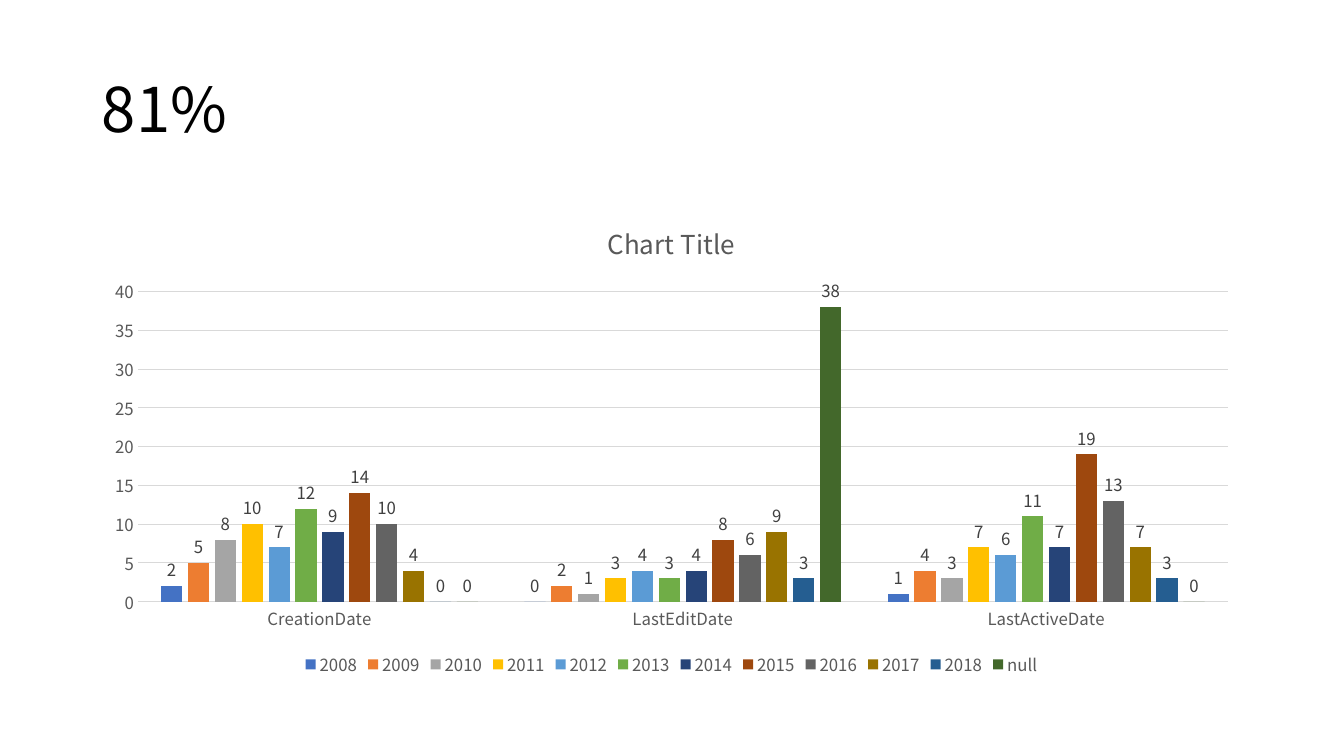
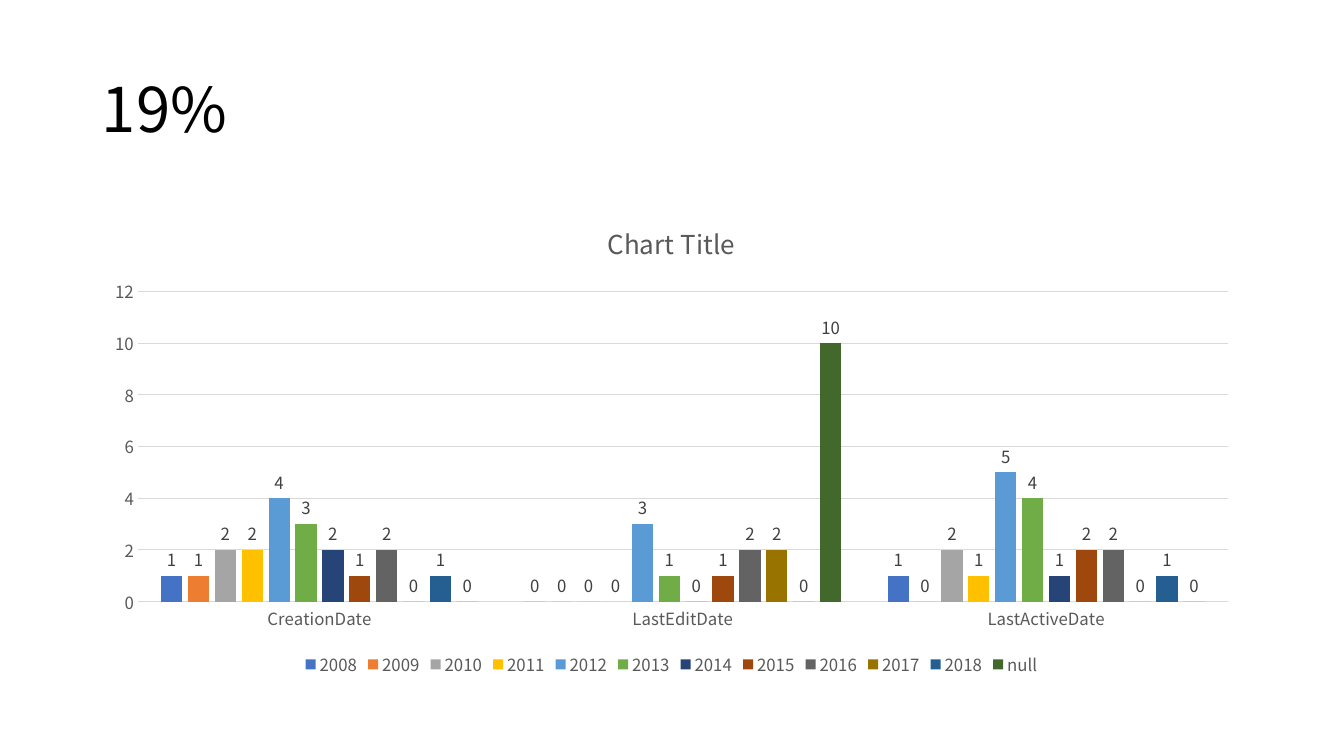
import dataclasses

import pptx
import pptx.chart.data
import pptx.dml.color
import pptx.enum.chart
import pptx.enum.text
import pptx.util


@dataclasses.dataclass(frozen=True)
class Theme:
    font: str = "Noto Sans CJK SC"
    ink: str = "000000"
    muted: str = "595959"
    label: str = "404040"
    rule: str = "D9D9D9"
    title_pt: float = 44
    chart_title_pt: float = 18.6
    chart_pt: float = 12
    rule_pt: float = 0.75
    series: tuple = ("4472C4", "ED7D31", "A5A5A5", "FFC000", "5B9BD5", "70AD47",
                     "264478", "9E480E", "636363", "997300", "255E91", "43682B")


class Deck:
    """Holds the theme and the current slide, and draws each kind of element."""

    SCALE = 914400 / 100.8

    def __init__(self, theme, width, height):
        self.theme = theme
        self.prs = pptx.Presentation()
        self.prs.slide_width, self.prs.slide_height = self.box(width, height)
        self.s = None

    def box(self, *pixels):
        return [pptx.util.Emu(round(n * self.SCALE)) for n in pixels]

    def color(self, value):
        return pptx.dml.color.RGBColor.from_string(value)

    def style(self, font, size, color):
        font.name = self.theme.font
        font.size = pptx.util.Pt(size)
        font.bold = False
        font.color.rgb = self.color(color)

    def rule(self, line):
        line.color.rgb = self.color(self.theme.rule)
        line.width = pptx.util.Pt(self.theme.rule_pt)

    def slide(self):
        self.s = self.prs.slides.add_slide(self.prs.slide_layouts[6])

    def title(self, text, at):
        tf = self.s.shapes.add_textbox(*self.box(*at)).text_frame
        tf.word_wrap = True
        tf.vertical_anchor = pptx.enum.text.MSO_ANCHOR.MIDDLE
        p = tf.paragraphs[0]
        p.line_spacing = 0.9
        r = p.add_run()
        r.text = text
        self.style(r.font, self.theme.title_pt, self.theme.ink)

    def columns(self, title, categories, series, at):
        t = self.theme
        data = pptx.chart.data.CategoryChartData()
        data.categories = categories
        for name, values in series.items():
            data.add_series(name, values)
        kind = pptx.enum.chart.XL_CHART_TYPE.COLUMN_CLUSTERED
        chart = self.s.shapes.add_chart(kind, *self.box(*at), data).chart
        self.style(chart.font, t.chart_pt, t.muted)

        chart.has_title = True
        r = chart.chart_title.text_frame.paragraphs[0].add_run()
        r.text = title
        self.style(r.font, t.chart_title_pt, t.muted)

        chart.has_legend = True
        chart.legend.position = pptx.enum.chart.XL_LEGEND_POSITION.BOTTOM
        chart.legend.include_in_layout = False
        self.style(chart.legend.font, t.chart_pt, t.muted)

        for axis in (chart.category_axis, chart.value_axis):
            axis.major_tick_mark = pptx.enum.chart.XL_TICK_MARK.NONE
            axis.minor_tick_mark = pptx.enum.chart.XL_TICK_MARK.NONE
            self.style(axis.tick_labels.font, t.chart_pt, t.muted)
        self.rule(chart.category_axis.format.line)
        chart.value_axis.format.line.fill.background()
        chart.value_axis.has_major_gridlines = True
        self.rule(chart.value_axis.major_gridlines.format.line)

        plot = chart.plots[0]
        plot.vary_by_categories = False
        plot.gap_width = 219
        plot.overlap = -27
        for ser, fill in zip(plot.series, t.series):
            ser.invert_if_negative = False
            ser.format.fill.solid()
            ser.format.fill.fore_color.rgb = self.color(fill)
            labels = ser.data_labels
            labels.show_value = True
            labels.position = pptx.enum.chart.XL_LABEL_POSITION.OUTSIDE_END
            self.style(labels.font, t.chart_pt, t.label)


TITLE_AT = (92, 40, 1159, 146)
CHART_AT = (92, 201, 1159, 480)
YEARS = [str(year) for year in range(2008, 2019)] + ["null"]
SHARES = {
    "81%": {
        "CreationDate": (2, 5, 8, 10, 7, 12, 9, 14, 10, 4, 0, 0),
        "LastEditDate": (0, 2, 1, 3, 4, 3, 4, 8, 6, 9, 3, 38),
        "LastActiveDate": (1, 4, 3, 7, 6, 11, 7, 19, 13, 7, 3, 0),
    },
    "19%": {
        "CreationDate": (1, 1, 2, 2, 4, 3, 2, 1, 2, 0, 1, 0),
        "LastEditDate": (0, 0, 0, 0, 3, 1, 0, 1, 2, 2, 0, 10),
        "LastActiveDate": (1, 0, 2, 1, 5, 4, 1, 2, 2, 0, 1, 0),
    },
}

deck = Deck(Theme(), 1344, 756)
for share, dates in SHARES.items():
    deck.slide()
    deck.title(share, TITLE_AT)
    by_year = dict(zip(YEARS, zip(*dates.values())))
    deck.columns("Chart Title", list(dates), by_year, CHART_AT)
deck.prs.save("out.pptx")
